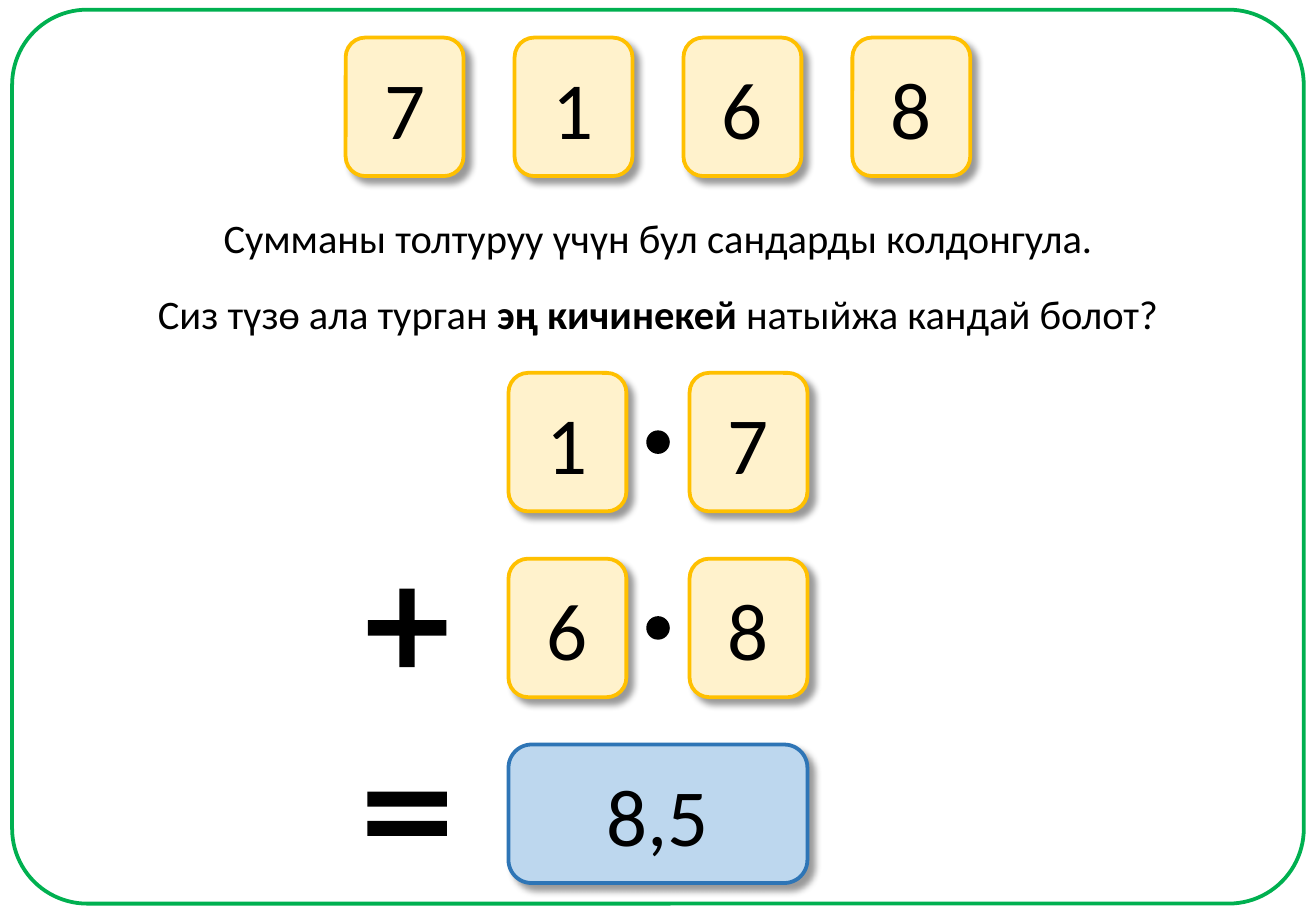
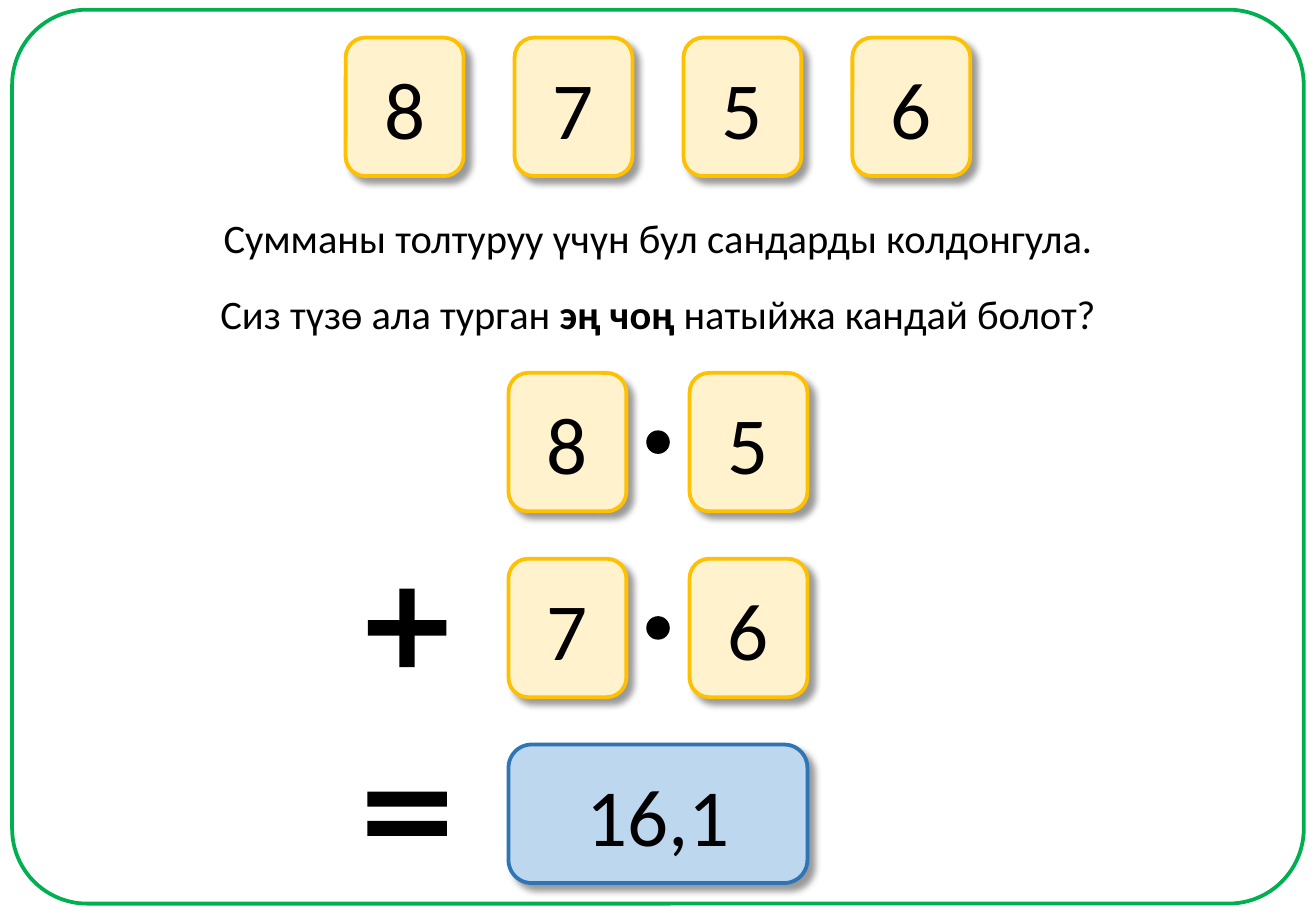
from lxml.etree import SubElement
from pptx import Presentation
from pptx.dml.color import RGBColor
from pptx.enum.shapes import MSO_SHAPE as Shape
from pptx.enum.text import MSO_ANCHOR as Anchor, MSO_AUTO_SIZE as AutoSize, PP_ALIGN as Align
from pptx.oxml.ns import qn
from pptx.util import Inches, Pt

# Shared look
FONT = "Calibri"
BLACK = RGBColor(0x00, 0x00, 0x00)
GREEN = RGBColor(0x00, 0xB0, 0x50)
CREAM = RGBColor(0xFF, 0xF2, 0xCC)
AMBER = RGBColor(0xFF, 0xC0, 0x00)
LIGHT_BLUE = RGBColor(0xBD, 0xD7, 0xEE)
BLUE = RGBColor(0x2E, 0x75, 0xB6)

# Grid, in inches
SLIDE_W, SLIDE_H = 10.83, 7.5
CENTRE = SLIDE_W / 2
CARD_W, CARD_H = 0.97, 1.14
TOP_CARDS, TOP_GAP = 0.31, 0.42
SUM_TOP, SUM_STEP, SUM_GAP = 3.07, 1.53, 0.52
SUM_W = 2 * CARD_W + SUM_GAP
SIGN_CENTRE = 3.35
DOT = 0.18

INSTRUCTION = "Сумманы толтуруу үчүн бул сандарды колдонгула."

# Number cards, highlighted words, question width, rows of the sum, result
TASKS = [
    ("7168", "эң кичинекей ", 8.46, ("17", "68"), "8,5"),
    ("8756", "эң чоң ", 7.45, ("85", "76"), "16,1"),
]


def add_outline(page, kind, box, fill=None, line=None, weight=2.25, adjust=()):
    """Add a preset shape without a shadow; box is left, top, width, height."""
    shape = page.shapes.add_shape(kind, *map(Inches, box))
    shape.shadow.inherit = False
    for index, value in enumerate(adjust):
        shape.adjustments[index] = value
    if fill is None:
        shape.fill.background()
    else:
        shape.fill.solid()
        shape.fill.fore_color.rgb = fill
    if line is None:
        shape.line.fill.background()
    else:
        shape.line.color.rgb = line
        shape.line.width = Pt(weight)
    return shape


def add_shadow(shape):
    effects = shape._element.spPr.find(qn("a:effectLst"))
    shadow = SubElement(effects, qn("a:outerShdw"), blurRad=str(Pt(4)), dist=str(Pt(5)),
                        dir="2700000", algn="tl", rotWithShape="0")
    color = SubElement(shadow, qn("a:srgbClr"), val=str(BLACK))
    SubElement(color, qn("a:alpha"), val="40000")


def write_runs(frame, runs, size):
    """Write one centred paragraph from (text, bold) pairs."""
    para = frame.paragraphs[0]
    para.alignment = Align.CENTER
    for text, bold in runs:
        span = para.add_run()
        span.text = text
        span.font.name = FONT
        span.font.size = Pt(size)
        span.font.bold = bold
        span.font.color.rgb = BLACK


def add_card(page, left, top, text, width=CARD_W, fill=CREAM, line=AMBER):
    card = add_outline(page, Shape.ROUNDED_RECTANGLE, (left, top, width, CARD_H), fill, line)
    add_shadow(card)
    card.text_frame.vertical_anchor = Anchor.MIDDLE
    write_runs(card.text_frame, [(text, False)], 48)


def add_card_row(page, top, gap, digits):
    """Centre a row of equally spaced number cards on the slide."""
    step = CARD_W + gap
    left = CENTRE - (len(digits) * step - gap) / 2
    for column, digit in enumerate(digits):
        add_card(page, left + column * step, top, digit)


def add_centred(page, kind, x, y, width, height, **style):
    add_outline(page, kind, (x - width / 2, y - height / 2, width, height), BLACK, **style)


def set_text_line(box, top, width, runs):
    """Place a box centred on the slide and write one line in it."""
    box.left, box.top = Inches(CENTRE - width / 2), Inches(top)
    box.width, box.height = Inches(width), Inches(0.5)
    frame = box.text_frame
    frame.word_wrap = False
    frame.auto_size = AutoSize.NONE
    frame.vertical_anchor = Anchor.TOP
    write_runs(frame, runs, 24)


def add_sum(page, rows, result):
    tops = [SUM_TOP + row * SUM_STEP for row in range(3)]
    middles = [top + CARD_H / 2 for top in tops]
    # Decimal numbers
    for top, middle, digits in zip(tops, middles, rows):
        add_card_row(page, top, SUM_GAP, digits)
        add_centred(page, Shape.OVAL, CENTRE, middle, DOT, DOT, line=BLACK, weight=1)
    # Result and signs
    add_card(page, CENTRE - SUM_W / 2, tops[2], result, SUM_W, LIGHT_BLUE, BLUE)
    add_centred(page, Shape.MATH_PLUS, SIGN_CENTRE, middles[1], 0.88, 0.88, adjust=[0.144])
    add_centred(page, Shape.MATH_EQUAL, SIGN_CENTRE, middles[2], 0.89, 1, adjust=[0.123, 0.118])


def add_task(deck, cards, emphasis, question_width, rows, result):
    page = deck.slides.add_slide(deck.slide_layouts.get_by_name("Title Only"))
    # Frame
    add_outline(page, Shape.ROUNDED_RECTANGLE, (0.1, 0.08, 10.63, 7.36),
                line=GREEN, adjust=[0.084])
    # Instruction and question
    set_text_line(page.shapes.title, 1.7, 7.42, [(INSTRUCTION, False)])
    question = [("Сиз түзө ала турган ", False), (emphasis, True),
                ("натыйжа кандай болот?", False)]
    set_text_line(page.shapes.add_textbox(0, 0, 0, 0), 2.33, question_width, question)
    # Cards to choose from and the filled sum
    add_card_row(page, TOP_CARDS, TOP_GAP, cards)
    add_sum(page, rows, result)


def main():
    deck = Presentation()
    deck.slide_width, deck.slide_height = Inches(SLIDE_W), Inches(SLIDE_H)
    for task in TASKS:
        add_task(deck, *task)
    deck.save("out.pptx")


if __name__ == "__main__":
    main()
